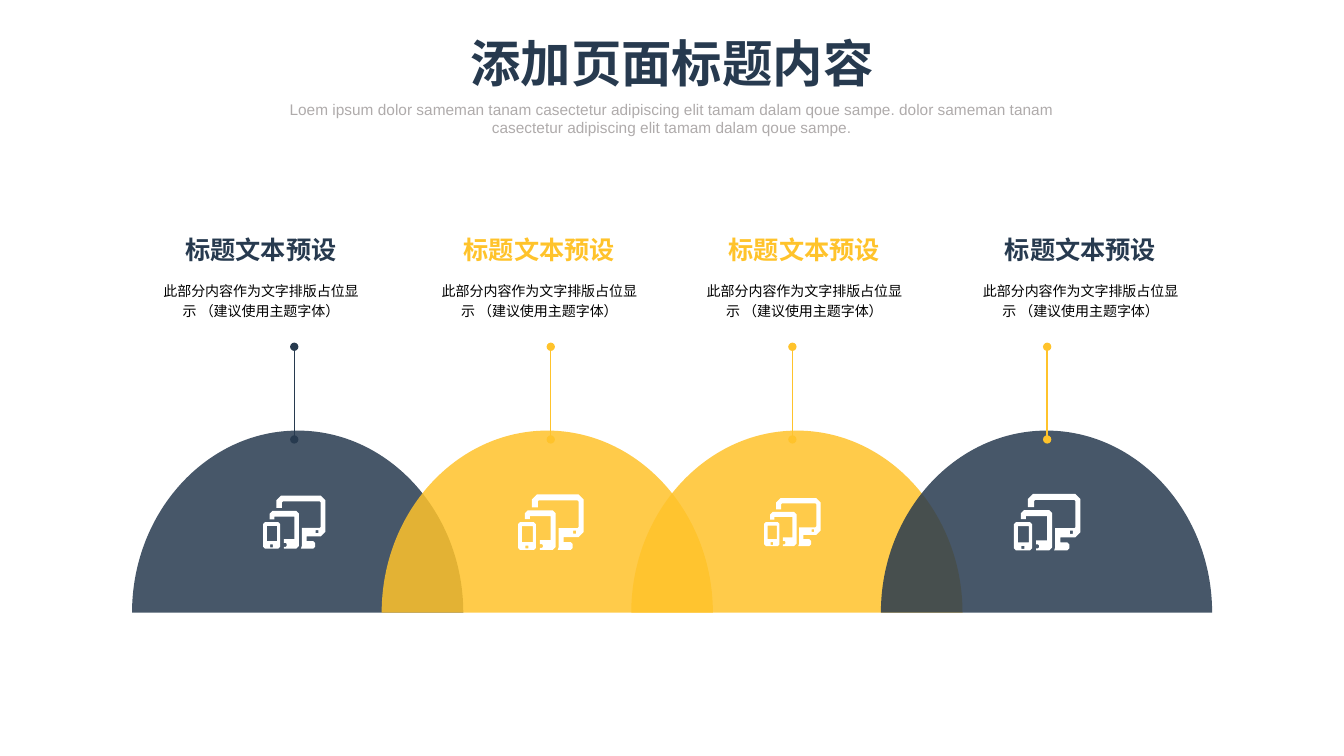
import math

import lxml.etree
import pptx
import pptx.dml.color
import pptx.enum.lang
import pptx.enum.shapes
import pptx.enum.text
import pptx.oxml.ns
import pptx.util

Pt = pptx.util.Pt
qn = pptx.oxml.ns.qn
ANCHOR = pptx.enum.text.MSO_ANCHOR
CHINESE = pptx.enum.lang.MSO_LANGUAGE_ID.SIMPLIFIED_CHINESE

COLORS = {"navy": "273A4F", "amber": "FFC32B", "grey": "AFABAB", "black": "000000", "white": "FFFFFF"}

TITLE_FONT = {"name": "Arial", "size": Pt(36), "bold": True, "language_id": CHINESE}
SUBTITLE_FONT = {"name": "Arial", "size": Pt(11), "bold": False}
HEADING_FONT = {"name": "Arial", "size": Pt(18), "bold": True, "language_id": CHINESE}
DETAIL_FONT = {"name": "Arial", "size": Pt(10), "bold": False, "language_id": CHINESE}

HEADING = "标题文本预设"
DETAIL = "此部分内容作为文字排版占位显示 （建议使用主题字体）"

TOPICS = [
    {"color": "navy", "pin": "navy", "label_left": 116.6, "pin_x": 210.2, "icon_width": 44.6},
    {"color": "amber", "pin": "amber", "label_left": 315.4, "pin_x": 393.4, "icon_width": 46.8},
    {"color": "amber", "pin": "amber", "label_left": 504.7, "pin_x": 566, "icon_width": 40.3},
    {"color": "navy", "pin": "amber", "label_left": 702, "pin_x": 748, "icon_width": 47.5},
]
DOME_LEFT, DOME_TOP, DOME_STEP = 94.3, 307.6, 178.3
DOME_WIDTH, DOME_HEIGHT = 236.6, 130.1
PIN_TOP, PIN_BOTTOM = 247.7, 313.9
ICON_MIDDLE = 373
LABEL_TOP, LABEL_WIDTH = 164.9, 139.7
ARC_PULL = 0.55


def rounded_box(left, top, right, bottom, radius):
    return [(left, top, radius), (right, top, radius), (right, bottom, radius), (left, bottom, radius)]


ICON_WIDTH, ICON_HEIGHT = 66, 56
DEVICE_OUTLINES = [
    rounded_box(0, 28, 18, 56, 2),
    rounded_box(4, 32, 15, 48, 0),
    rounded_box(7.5, 51.5, 10.5, 54.5, 0),
    [(7, 16, 3), (38, 16, 3), (38, 56, 3), (22, 56, 0), (22, 54, 0), (25, 54, 1), (25, 50, 1),
     (22, 50, 0), (22, 46, 0), (33, 46, 0), (33, 22, 0), (12, 22, 0), (12, 25, 0), (7, 25, 0)],
    [(14, 0, 5), (66, 0, 5), (66, 43, 5), (46, 43, 0), (46, 48, 0), (55, 48, 2), (55, 56, 2),
     (40, 56, 0), (41, 53, 0), (41, 34, 0), (61, 34, 1), (61, 6, 1), (20, 6, 1), (20, 13, 0), (14, 13, 0)],
    rounded_box(55.5, 36.5, 58.5, 39.5, 0),
]


def rgb(name):
    return pptx.dml.color.RGBColor.from_string(COLORS[name])


def toward(start, end, distance):
    share = distance / math.dist(start, end)
    return tuple(a + (b - a) * share for a, b in zip(start, end))


def trim_corners(outline):
    points = []
    for index, (x, y, radius) in enumerate(outline):
        before, after = outline[index - 1][:2], outline[(index + 1) % len(outline)][:2]
        if radius:
            points += [toward((x, y), before, radius), toward((x, y), after, radius)]
        else:
            points.append((x, y))
    return points


def draw_outlines(slide, outlines, color):
    contours = [[(Pt(x), Pt(y)) for x, y in outline] for outline in outlines]
    builder = slide.shapes.build_freeform(*contours[0][0])
    for index, contour in enumerate(contours):
        if index:
            builder.move_to(*contour[0])
        builder.add_line_segments(contour[1:], close=True)
    silhouette = builder.convert_to_shape()
    silhouette.shadow.inherit = False
    silhouette.fill.solid()
    silhouette.fill.fore_color.rgb = rgb(color)
    silhouette.line.fill.background()
    return silhouette


def write_text(holder, text, font_format, color, anchor, wrap=True, margin=None, spacing=1.0):
    frame = holder.text_frame
    frame.text = text
    frame_format = {"word_wrap": wrap, "vertical_anchor": anchor,
                    "auto_size": pptx.enum.text.MSO_AUTO_SIZE.NONE}
    if margin is not None:
        frame_format.update({f"margin_{side}": Pt(margin) for side in ("left", "right", "top", "bottom")})
    for key, value in frame_format.items():
        setattr(frame, key, value)
    paragraph = frame.paragraphs[0]
    paragraph_format = {"alignment": pptx.enum.text.PP_ALIGN.CENTER, "line_spacing": spacing, "space_before": Pt(0)}
    for key, value in paragraph_format.items():
        setattr(paragraph, key, value)
    font = paragraph.runs[0].font
    for key, value in font_format.items():
        setattr(font, key, value)
    font.color.rgb = rgb(color)


def place(holder, left, top, width, height):
    box = {"left": left, "top": top, "width": width, "height": height}
    for key, value in box.items():
        setattr(holder, key, Pt(value))


def add_header(slide, left, top, width):
    title = slide.shapes.title
    place(title, left + (width - 305.3) / 2, top, 305.3, 51.1)
    write_text(title, "添加页面标题内容", TITLE_FONT, "navy", ANCHOR.TOP, wrap=False)
    subtitle = slide.placeholders[1]
    place(subtitle, left, top + 48.3, width, 47.5)
    write_text(
        subtitle,
        "Loem ipsum dolor sameman tanam casectetur adipiscing elit tamam dalam qoue sampe. "
        "dolor sameman tanam casectetur adipiscing elit tamam dalam qoue sampe.",
        SUBTITLE_FONT, "grey", ANCHOR.TOP)


def add_label(slide, left, top, width, color):
    heading = slide.shapes.add_textbox(Pt(left), Pt(top), Pt(width), Pt(25.9))
    write_text(heading, HEADING, HEADING_FONT, color, ANCHOR.MIDDLE, wrap=False, margin=0)
    detail = slide.shapes.add_textbox(Pt(left), Pt(top + 23.7), Pt(width), Pt(49.7))
    write_text(detail, DETAIL, DETAIL_FONT, "black", ANCHOR.MIDDLE, margin=0, spacing=1.2)


def add_dome(slide, left, top, width, height, color):
    radius, bottom = width / 2, top + height
    dome = draw_outlines(slide, [[(left, bottom), (left + radius, top), (left + width, bottom)]], color)
    shoulder = height * (1 - ARC_PULL)
    pulls = [
        [(0, shoulder), (radius * (1 - ARC_PULL), 0)],
        [(radius * (1 + ARC_PULL), 0), (width, shoulder)],
    ]
    sides = list(dome._element.iter(qn("a:lnTo")))
    for side, controls in zip(sides, pulls):
        side.tag = qn("a:cubicBezTo")
        for index, (x, y) in enumerate(controls):
            control = lxml.etree.SubElement(side, qn("a:pt"), x=str(Pt(x)), y=str(Pt(y)))
            side.insert(index, control)
    tint = next(dome._element.spPr.iter(qn("a:srgbClr")))
    lxml.etree.SubElement(tint, qn("a:alpha"), val="85000")


def add_pin(slide, x, top, bottom, color):
    pin = slide.shapes.add_connector(pptx.enum.shapes.MSO_CONNECTOR.STRAIGHT, Pt(x), Pt(bottom), Pt(x), Pt(top))
    pin.line.width = Pt(1)
    pin.line.color.rgb = rgb(color)
    stroke = pin._element.spPr.find(qn("a:ln"))
    for end in ("a:headEnd", "a:tailEnd"):
        lxml.etree.SubElement(stroke, qn(end), type="oval")
    lxml.etree.SubElement(pin._element.spPr, qn("a:effectLst"))


def add_devices_icon(slide, center_x, center_y, width):
    scale = width / ICON_WIDTH
    left, top = center_x - width / 2, center_y - ICON_HEIGHT * scale / 2
    outlines = [[(left + x * scale, top + y * scale) for x, y in trim_corners(outline)]
                for outline in DEVICE_OUTLINES]
    draw_outlines(slide, outlines, "white")


def main():
    deck = pptx.Presentation()
    deck.slide_width, deck.slide_height = Pt(960), Pt(540)
    slide = deck.slides.add_slide(deck.slide_layouts[0])
    add_header(slide, 180, 19.4, 599.8)
    for index, topic in enumerate(TOPICS):
        add_label(slide, topic["label_left"], LABEL_TOP, LABEL_WIDTH, topic["color"])
        add_dome(slide, DOME_LEFT + index * DOME_STEP, DOME_TOP, DOME_WIDTH, DOME_HEIGHT, topic["color"])
    for topic in TOPICS:
        add_pin(slide, topic["pin_x"], PIN_TOP, PIN_BOTTOM, topic["pin"])
        add_devices_icon(slide, topic["pin_x"], ICON_MIDDLE, topic["icon_width"])
    deck.save("out.pptx")


if __name__ == "__main__":
    main()
